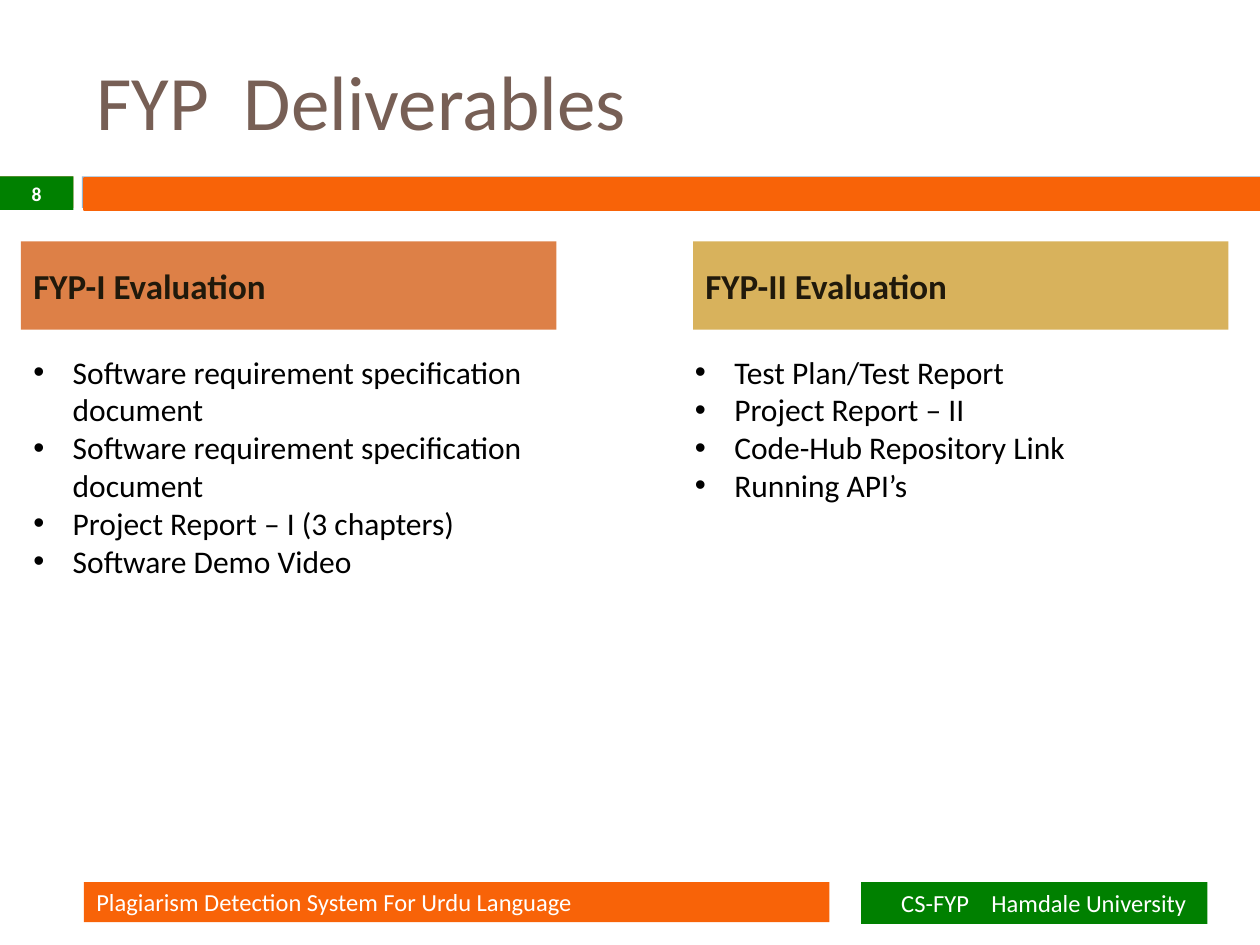
from lxml import etree
from pptx import Presentation
from pptx.dml.color import RGBColor
from pptx.enum import shapes, text
from pptx.oxml import ns
from pptx.util import Pt

ORANGE, GREEN, COPPER, BLUE = "F86308", "008000", "DD8047", "94B6D2"
GOLD, BROWN, INK, BLACK, WHITE = "D8B25C", "775F55", "20190B", "000000", "FFFFFF"


def color(value):
    return RGBColor.from_string(value)


def style(target, values):
    for name, value in values.items():
        setattr(target, name, value)


class Deck:
    face = "Calibri"
    indent = Pt(22.5)

    def __init__(self, width, height):
        self.show = Presentation()
        style(self.show, {"slide_width": Pt(width), "slide_height": Pt(height)})
        self.slide = self.show.slides.add_slide(self.show.slide_layouts[5])

    def add_words(self, paragraph, words, size, ink, bold=False, **layout):
        run = paragraph.add_run()
        run.text = words
        style(run.font, {"name": self.face, "size": Pt(size), "bold": bold})
        run.font.color.rgb = color(ink)
        style(paragraph, layout)

    def title(self, box, words):
        heading = self.slide.shapes.title
        style(heading, dict(zip(("left", "top", "width", "height"), map(Pt, box))))
        style(heading.text_frame, {
            "word_wrap": True,
            "auto_size": text.MSO_AUTO_SIZE.NONE,
            "vertical_anchor": text.MSO_ANCHOR.MIDDLE,
        })
        self.add_words(heading.text_frame.paragraphs[0], words, 44, BROWN,
                       alignment=text.PP_ALIGN.LEFT)

    def bar(self, box, fill, outline=None):
        bar = self.slide.shapes.add_shape(shapes.MSO_SHAPE.RECTANGLE, *map(Pt, box))
        bar.shadow.inherit = False
        bar.fill.solid()
        bar.fill.fore_color.rgb = color(fill)
        if outline:
            bar.line.color.rgb = color(outline)
            bar.line.width = Pt(1.5)
        else:
            bar.line.fill.background()
        return bar

    def label(self, box, fill, words, size, ink=WHITE, bold=False,
              alignment=text.PP_ALIGN.LEFT, **layout):
        frame = self.bar(box, fill).text_frame
        style(frame, {"word_wrap": True, "vertical_anchor": text.MSO_ANCHOR.MIDDLE})
        self.add_words(frame.paragraphs[0], words, size, ink, bold,
                       alignment=alignment, **layout)
        return frame

    def tabbed_label(self, box, fill, words, size, inset, stop):
        frame = self.label(box, fill, words, size)
        frame.margin_left = Pt(inset)
        properties = frame.paragraphs[0]._p.get_or_add_pPr()
        stops = etree.SubElement(properties, ns.qn("a:tabLst"))
        etree.SubElement(stops, ns.qn("a:tab"), pos=str(Pt(stop)), algn="l")

    def bullets(self, box, items):
        frame = self.slide.shapes.add_textbox(*map(Pt, box)).text_frame
        style(frame, {"word_wrap": True, "auto_size": text.MSO_AUTO_SIZE.SHAPE_TO_FIT_TEXT})
        for index, item in enumerate(items):
            paragraph = frame.add_paragraph() if index else frame.paragraphs[0]
            self.add_words(paragraph, item, 18, BLACK)
            properties = paragraph._p.get_or_add_pPr()
            properties.set("marL", str(self.indent))
            properties.set("indent", str(-self.indent))
            etree.SubElement(properties, ns.qn("a:buFont"), typeface="Arial")
            etree.SubElement(properties, ns.qn("a:buChar"), char="•")


def main():
    deck = Deck(720, 540)
    deck.bar((0, 100.8, 42, 18), COPPER)
    deck.bar((46.8, 100.8, 673.2, 18), BLUE)
    deck.bar((48, 102, 672, 18), ORANGE, outline=ORANGE)
    deck.title((48, 18, 600, 78), "FYP  Deliverables")
    deck.label((0, 100.8, 42, 19.2), GREEN, "8", 11.2, bold=True,
               alignment=text.PP_ALIGN.CENTER)

    deck.label((48, 504, 426, 23), ORANGE,
               "Plagiarism Detection System For Urdu Language", 14)
    deck.tabbed_label((492, 504, 198, 24), GREEN,
                      "CS-FYP\tHamdale University", 14, inset=23, stop=51.5)

    evaluations = [
        ("FYP-I Evaluation", COPPER, 12, (12, 198, 360, 138), [
            "Software requirement specification document",
            "Software requirement specification document",
            "Project Report – I (3 chapters)",
            "Software Demo Video",
        ]),
        ("FYP-II Evaluation", GOLD, 396, (390, 198, 306, 117), [
            "Test Plan/Test Report",
            "Project Report – II",
            "Code-Hub Repository Link",
            "Running API’s",
        ]),
    ]
    for heading, fill, left, list_box, deliverables in evaluations:
        deck.label((left, 138, 306, 50.4), fill, heading, 20, INK, True,
                   space_before=Pt(7))
        deck.bullets(list_box, deliverables)

    deck.show.save("out.pptx")


if __name__ == "__main__":
    main()
